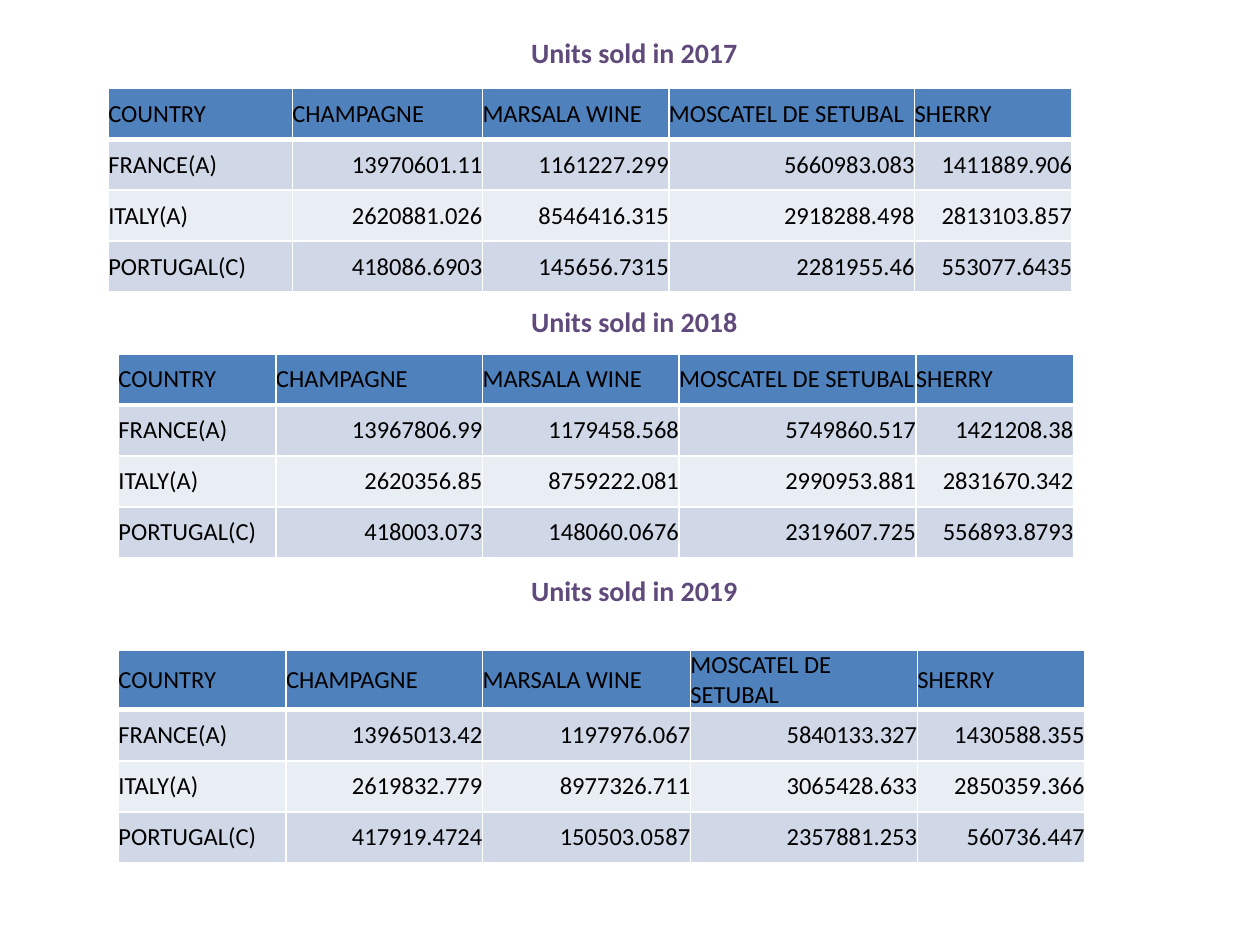
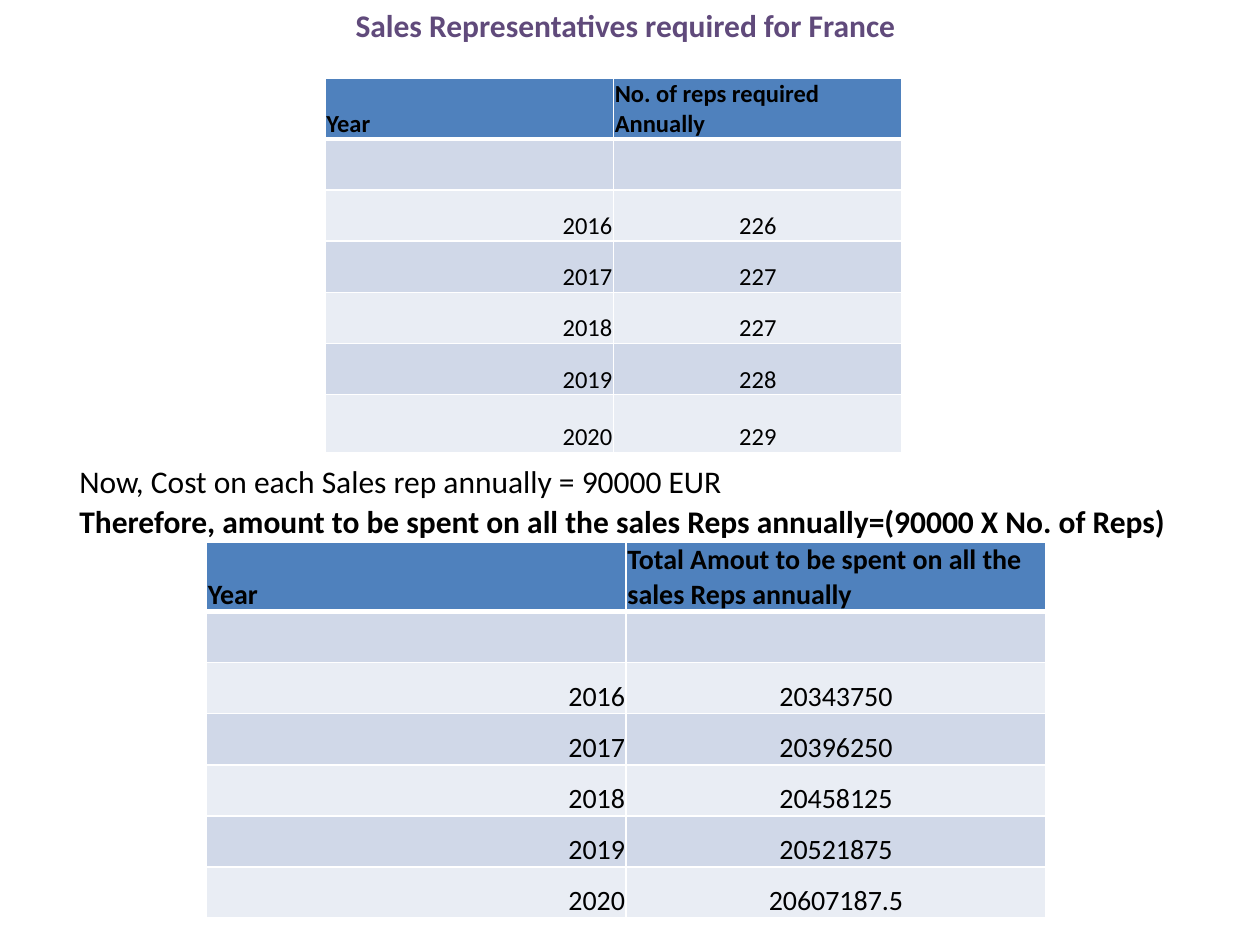
from lxml.etree import SubElement
from pptx import Presentation
from pptx.dml.color import RGBColor
from pptx.enum.text import MSO_ANCHOR as Anchor, MSO_AUTO_SIZE as AutoSize, PP_ALIGN as Align
from pptx.oxml.ns import qn
from pptx.util import Inches, Pt

FONT = "Calibri"
PURPLE = RGBColor(0x60, 0x4A, 0x7B)
BLACK = RGBColor(0x00, 0x00, 0x00)
WHITE = RGBColor(0xFF, 0xFF, 0xFF)
HEADER_BLUE = RGBColor(0x4F, 0x81, 0xBD)
BANDS = (RGBColor(0xE9, 0xED, 0xF4), RGBColor(0xD0, 0xD8, 0xE8))
TITLE_ONLY = 5

WINES = ["COUNTRY", "CHAMPAGNE", "MARSALA WINE", "MOSCATEL DE SETUBAL", "SHERRY"]
COUNTRIES = ["FRANCE(A)", "ITALY(A)", "PORTUGAL(C)"]
YEARS = ["2016", "2017", "2018", "2019", "2020"]

# year: (left, top, column widths, units by country)
UNITS_SOLD = {
    2017: (0.86, 0.7, [1.46, 1.51, 1.48, 1.95, 1.25], [
        ["13970601.11", "1161227.299", "5660983.083", "1411889.906"],
        ["2620881.026", "8546416.315", "2918288.498", "2813103.857"],
        ["418086.6903", "145656.7315", "2281955.46", "553077.6435"]]),
    2018: (0.94, 2.81, [1.25, 1.64, 1.56, 1.88, 1.25], [
        ["13967806.99", "1179458.568", "5749860.517", "1421208.38"],
        ["2620356.85", "8759222.081", "2990953.881", "2831670.342"],
        ["418003.073", "148060.0676", "2319607.725", "556893.8793"]]),
    2019: (0.94, 5.16, [1.33, 1.56, 1.65, 1.8, 1.33], [
        ["13965013.42", "1197976.067", "5840133.327", "1430588.355"],
        ["2619832.779", "8977326.711", "3065428.633", "2850359.366"],
        ["417919.4724", "150503.0587", "2357881.253", "560736.447"]]),
}
REPS = ["226", "227", "227", "228", "229"]
AMOUNTS = ["20343750", "20396250", "20458125", "20521875", "20607187.5"]


def set_borders(cell, **widths):
    """Draw white borders; widths are points by edge tag, in the order lnL, lnR, lnT, lnB."""
    properties = cell._tc.get_or_add_tcPr()
    for tag, width in widths.items():
        line = SubElement(properties, qn(f"a:{tag}"), w=str(Pt(width)))
        fill = SubElement(line, qn("a:solidFill"))
        SubElement(fill, qn("a:srgbClr"), val=str(WHITE))


class SalesDeck:
    def __init__(self):
        self.deck = Presentation()
        self.deck.slide_width, self.deck.slide_height = Inches(10), Inches(7.5)
        self.page = None

    def add_page(self):
        self.page = self.deck.slides.add_slide(self.deck.slide_layouts[TITLE_ONLY])

    def format_para(self, para, size, color, bold, align):
        para.alignment = align
        for span in para.runs:
            font = span.font
            font.name, font.size, font.bold = FONT, Pt(size), bold
            font.color.rgb = color

    def title(self, lines, place, size, gap=0):
        """Fill the title placeholder, with gap points between its lines."""
        box = self.page.shapes.title
        box.left, box.top, box.width, box.height = map(Inches, place)
        frame = box.text_frame
        frame.text = "\n".join(lines)
        frame.word_wrap, frame.auto_size = True, AutoSize.NONE
        frame.vertical_anchor = Anchor.TOP
        for index, para in enumerate(frame.paragraphs):
            para.space_before = Pt(gap if index else 0)
            self.format_para(para, size, PURPLE, True, Align.CENTER)

    def grid(self, rows, left, top, widths, height):
        table = self.page.shapes.add_table(
            len(rows), len(widths), Inches(left), Inches(top),
            Inches(sum(widths)), Inches(height)).table
        for column, width in zip(table.columns, widths):
            column.width = Inches(width)
        return table

    def cell(self, cell, text, size, bold=False, align=Align.LEFT, anchor=Anchor.BOTTOM, margin=0.01):
        cell.text = text
        cell.vertical_anchor = anchor
        cell.margin_left = cell.margin_right = cell.margin_top = Inches(margin)
        cell.margin_bottom = 0
        self.format_para(cell.text_frame.paragraphs[0], size, BLACK, bold, align)

    def banded_table(self, rows, left, top, widths, height, size, aligns, bold_header=True, **cell_style):
        table = self.grid(rows, left, top, widths, height)
        for r, row in enumerate(rows):
            for c, text in enumerate(row):
                cell = table.cell(r, c)
                header = r == 0
                self.cell(cell, text, size, header and bold_header,
                          Align.LEFT if header else aligns[c], **cell_style)
                set_borders(cell, lnL=1, lnR=1, lnT=3 if r == 1 else 1, lnB=3 if header else 1)
                cell.fill.solid()
                cell.fill.fore_color.rgb = HEADER_BLUE if header else BANDS[r % 2]
        return table

    def plain_lines(self, lines, left, top, width, height, size):
        """Stack unfilled text rows; lines holds (text, bold) pairs."""
        table = self.grid(lines, left, top, [width], height)
        table.first_row = table.horz_banding = False
        for r, (text, bold) in enumerate(lines):
            self.cell(table.cell(r, 0), text, size, bold)
            table.cell(r, 0).fill.background()

    def yearly_table(self, heading, values, *layout):
        rows = [["Year", heading], ["", ""], *zip(YEARS, values)]
        return self.banded_table(rows, *layout, aligns=[Align.RIGHT, Align.CENTER])


def units_sold_page(sales):
    sales.add_page()
    sales.title([f"Units sold in {year}" for year in UNITS_SOLD], (0.31, 0.23, 9.45, 5.22), 16, gap=134.5)
    for left, top, widths, units in UNITS_SOLD.values():
        rows = [WINES] + [[country, *sold] for country, sold in zip(COUNTRIES, units)]
        sales.banded_table(rows, left, top, widths, 1.62, 14, [Align.LEFT] + [Align.RIGHT] * 4,
                           bold_header=False, anchor=Anchor.MIDDLE, margin=0)


def france_reps_page(sales):
    sales.add_page()
    sales.title(["Sales Representatives required for France"], (0.55, 0, 8.83, 0.4), 18)
    reps = sales.yearly_table("No. of reps required Annually", REPS, 2.58, 0.62, [2.29] * 2, 2.84, 14)
    reps.rows[len(reps.rows) - 1].height = Inches(0.46)
    sales.plain_lines([
        ("Now, Cost on each Sales rep annually = 90000 EUR", False),
        ("Therefore, amount to be spent on all the sales Reps annually=(90000 X No. of Reps)", True),
    ], 0.62, 3.67, 8.75, 0.62, 18)
    sales.yearly_table("Total Amout to be spent on all the sales Reps annually", AMOUNTS,
                       1.64, 4.3, [3.33] * 2, 2.84, 16)


def main():
    sales = SalesDeck()
    units_sold_page(sales)
    france_reps_page(sales)
    sales.deck.save("out.pptx")


if __name__ == "__main__":
    main()
